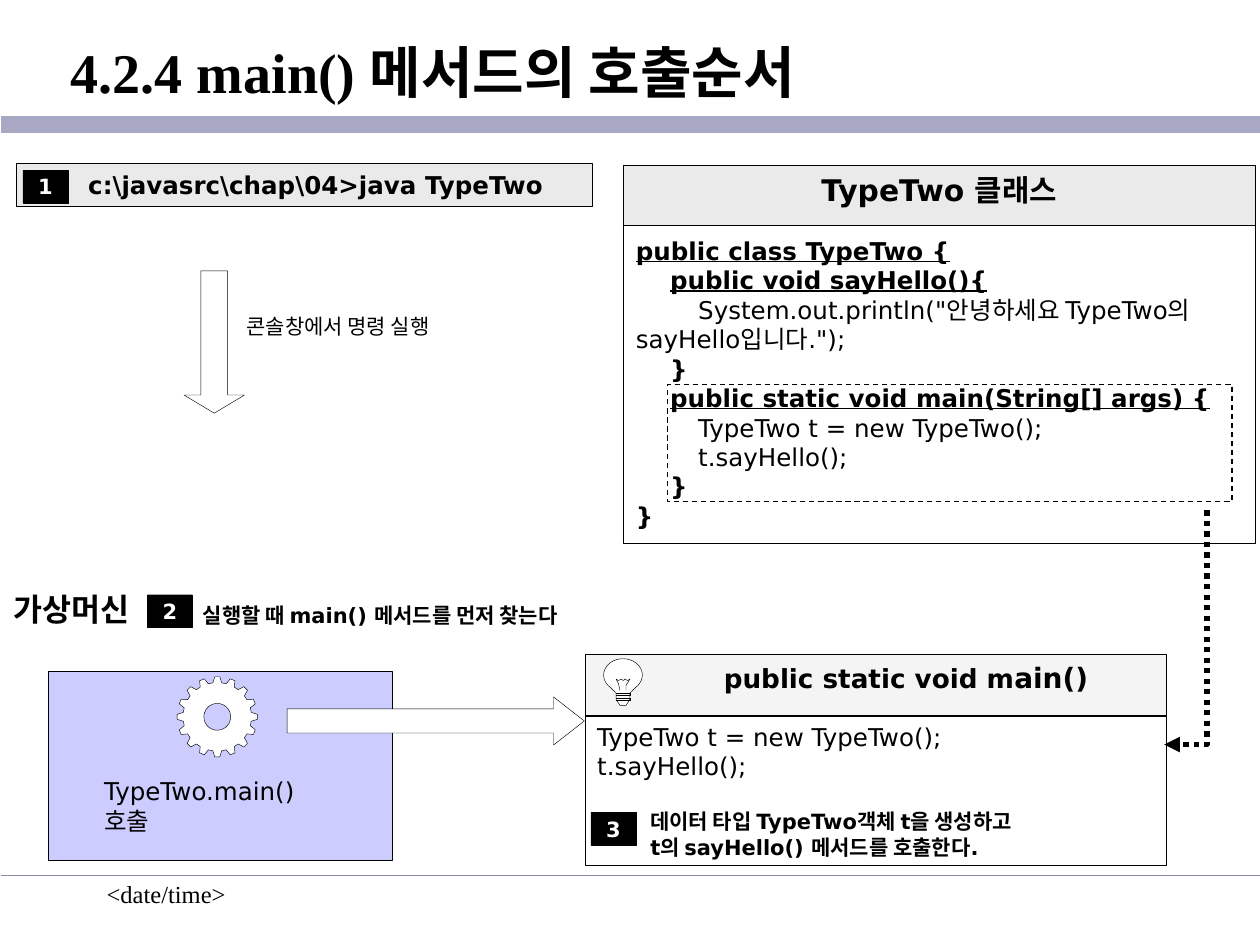
from math import cos, radians, sin

from lxml.etree import SubElement
from pptx import Presentation
from pptx.dml.color import RGBColor
from pptx.enum.dml import MSO_LINE
from pptx.enum.shapes import MSO_CONNECTOR, MSO_SHAPE
from pptx.enum.text import MSO_ANCHOR, PP_ALIGN
from pptx.oxml.ns import qn
from pptx.util import Cm, Pt

BLACK = RGBColor(0, 0, 0)
WHITE = RGBColor(255, 255, 255)
GRAY = RGBColor(0xEA, 0xEA, 0xEA)
LAVENDER = RGBColor(0xCC, 0xCC, 0xFF)
TITLE_RULE = RGBColor(0xA8, 0xA8, 0xC4)
FOOTER_RULE = RGBColor(0x8C, 0x8C, 0xB2)

SERIF, SANS = "Times New Roman", "DejaVu Sans"
MIDDLE, TOP = MSO_ANCHOR.MIDDLE, MSO_ANCHOR.TOP
PLAIN = {"name": SANS, "size": Pt(14), "bold": False}
BOLD = PLAIN | {"bold": True}
UNDERLINED = BOLD | {"underline": True}
NOTE = PLAIN | {"size": Pt(12)}
STRONG_NOTE = BOLD | {"size": Pt(12)}

CLASS_CODE = [
    [("public class TypeTwo {", UNDERLINED)],
    [("    ", BOLD), ("public void sayHello(){", UNDERLINED)],
    [('        System.out.println("안녕하세요 TypeTwo의 sayHello입니다.");', PLAIN)],
    [("    }", BOLD)],
    [("    ", BOLD), ("public static void main(String[] args) {", UNDERLINED)],
    [("        TypeTwo t = new TypeTwo();", PLAIN)],
    [("        t.sayHello();", PLAIN)],
    [("    }", BOLD)],
    [("}", BOLD)],
]
MAIN_BODY = [
    [("TypeTwo t = new TypeTwo();", PLAIN)],
    [("t.sayHello();", PLAIN)],
    [("데이터 타입 TypeTwo객체 t을 생성하고", STRONG_NOTE)],
    [("t의 sayHello() 메서드를 호출한다.", STRONG_NOTE)],
]
MAIN_HEADER = [[("public static void m", BOLD | {"size": Pt(15)}),
                ("ain()", BOLD | {"size": Pt(16)})]]
CLASS_HEADER = [[("TypeTwo 클래스", BOLD | {"size": Pt(17)})]]
COMMAND = [[("c:\\javasrc\\chap\\04>java TypeTwo", BOLD)]]

LABELS = [
    ((1.9, 17.6, 5.28, 1.27), [[("<date/time>", {"name": SERIF, "size": Pt(14)})]]),
    ((1.85, 15.52, 5.46, 1.3), [[("TypeTwo.main()", PLAIN)], [("호출", PLAIN)]]),
    ((0.03, 11.76, 2.84, 1.02), [[("가상머신", BOLD | {"size": Pt(18)})]]),
    ((3.84, 12.01, 8.86, 0.76), [[("실행할 때 main() 메서드를 먼저 찾는다", STRONG_NOTE)]]),
    ((4.72, 6.2, 4.19, 0.76), [[("콘솔창에서 명령 실행", NOTE)]]),
]
TITLE = [[("4.2.4 main() 메서드의 호출순서", {"name": SERIF, "size": Pt(32), "bold": True})]]
RULES = [(2.51, TITLE_RULE, 9.25), (17.65, FOOTER_RULE, 1)]
BADGES = [("1", 0.46, 3.43), ("2", 2.97, 11.99), ("3", 11.91, 16.38)]
ARROWS = [
    (MSO_SHAPE.DOWN_ARROW, (3.71, 5.46, 1.22, 2.87), (0.44, 0.3)),
    (MSO_SHAPE.RIGHT_ARROW, (5.79, 14.05, 5.99, 0.97), (0.5, 0.64)),
]
GEAR_CENTER, GEAR_TEETH = (4.38, 14.45), 16
BULB_CENTER = (12.56, 13.61)
BULB_BASE = [(12.7, 13.97), (12.7, 14.1), (12.62, 14.22),
             (12.5, 14.22), (12.42, 14.1), (12.42, 13.97)]
FILAMENT = [
    [(12.5, 13.92), (12.47, 13.79), (12.42, 13.69), (12.47, 13.72), (12.52, 13.69),
     (12.57, 13.72), (12.6, 13.69), (12.65, 13.72), (12.7, 13.69), (12.62, 13.82), (12.62, 13.92)],
    [(12.42, 13.97), (12.7, 13.97), (12.7, 14.02), (12.42, 14.02)],
    [(12.42, 14.07), (12.7, 14.07), (12.7, 14.12), (12.42, 14.12)],
]
CALL_PATH = [(24.33, 10.29), (24.33, 15.01), (23.47, 15.01)]


def write(shape, paragraphs, color=BLACK, align=PP_ALIGN.LEFT, anchor=TOP, left=0.25):
    frame = shape.text_frame
    right = Cm(0 if align == PP_ALIGN.LEFT else 0.25)
    settings = {"word_wrap": True, "vertical_anchor": anchor, "margin_left": Cm(left),
                "margin_right": right, "margin_top": Cm(0.13), "margin_bottom": Cm(0.13)}
    for name, value in settings.items():
        setattr(frame, name, value)
    for index, runs in enumerate(paragraphs):
        paragraph = frame.add_paragraph() if index else frame.paragraphs[0]
        paragraph.alignment = align
        for text, style in runs:
            run = paragraph.add_run()
            run.text = text
            for name, value in style.items():
                setattr(run.font, name, value)
            run.font.color.rgb = color


def decorate(shape, fill=None, width=0.25):
    shape.shadow.inherit = False
    if fill is None:
        shape.fill.background()
    else:
        shape.fill.solid()
        shape.fill.fore_color.rgb = fill
    shape.line.color.rgb = BLACK
    shape.line.width = Pt(width)
    return shape


def add_shape(box, fill=None, kind=MSO_SHAPE.RECTANGLE, width=0.25):
    return decorate(slide.shapes.add_shape(kind, *map(Cm, box)), fill, width)


def add_label(box, paragraphs, **options):
    write(slide.shapes.add_textbox(*map(Cm, box)), paragraphs, **options)


def add_outline(contours, fill=None, close=True):
    contours = [[(Cm(x), Cm(y)) for x, y in contour] for contour in contours]
    builder = slide.shapes.build_freeform(*contours[0][0])
    for index, (start, *rest) in enumerate(contours):
        if index:
            builder.move_to(*start)
        builder.add_line_segments(rest, close=close)
    return decorate(builder.convert_to_shape(), fill)


def polar(center, angle, radius_x, radius_y):
    return (center[0] + radius_x * cos(radians(angle)),
            center[1] + radius_y * sin(radians(angle)))


presentation = Presentation()
presentation.slide_width, presentation.slide_height = Cm(25.4), Cm(19.05)
slide = presentation.slides.add_slide(presentation.slide_layouts[6])

for y, color, width in RULES:
    rule = slide.shapes.add_connector(MSO_CONNECTOR.STRAIGHT, Cm(0.03), Cm(y), Cm(25.4), Cm(y))
    rule.line.color.rgb = color
    rule.line.width = Pt(width)
    SubElement(rule._element.spPr, qn("a:effectLst"))

add_label((0.03, 0.28, 25.37, 2.29), TITLE, anchor=MIDDLE, left=1.4)
add_shape((0.97, 13.54, 6.93, 3.81), LAVENDER)

gear = [polar(GEAR_CENTER, 360 * tooth / GEAR_TEETH - 90 + offset, radius, radius)
        for tooth in range(GEAR_TEETH)
        for offset, radius in ((-7.4, 0.69), (-3.6, 0.81), (3.6, 0.81), (7.4, 0.69))]
hole = [polar(GEAR_CENTER, -angle, 0.27, 0.27) for angle in range(0, 360, 10)]
add_outline([gear, hole], WHITE)

write(add_shape((0.33, 3.3, 11.61, 0.86), GRAY), COMMAND, left=1.45)

main_box = add_shape((11.79, 14.43, 11.73, 3.02))
write(main_box, MAIN_BODY, anchor=MIDDLE)
notes = main_box.text_frame.paragraphs[2:]
notes[0].space_before = Pt(16)
for paragraph in notes:
    paragraph._p.get_or_add_pPr().set("marL", str(Cm(1.07)))

main_header = add_shape((11.79, 13.18, 11.73, 1.24), GRAY)
fill_color = main_header._element.spPr.find(qn("a:solidFill"))[0]
SubElement(fill_color, qn("a:alpha"), val="50000")
write(main_header, MAIN_HEADER, align=PP_ALIGN.CENTER, left=1.47)

write(add_shape((12.57, 4.5, 12.73, 6.45)), CLASS_CODE, anchor=MIDDLE)
write(add_shape((12.57, 3.33, 12.73, 1.22), GRAY), CLASS_HEADER, align=PP_ALIGN.CENTER)

for kind, box, adjustments in ARROWS:
    arrow = add_shape(box, WHITE, kind)
    for index, value in enumerate(adjustments):
        arrow.adjustments[index] = value

for number, x, y in BADGES:
    write(add_shape((x, y, 0.91, 0.66), BLACK), [[(number, STRONG_NOTE)]],
          color=WHITE, align=PP_ALIGN.CENTER, anchor=MIDDLE)

for box, paragraphs in LABELS:
    add_label(box, paragraphs)

glass = [polar(BULB_CENTER, angle, 0.39, 0.33) for angle in range(130, 411, 10)]
add_outline([glass + BULB_BASE], WHITE)
add_outline(FILAMENT, close=False)

call_arrow = add_outline([CALL_PATH], close=False)
call_arrow.line.width = Pt(3)
call_arrow.line.dash_style = MSO_LINE.ROUND_DOT
SubElement(call_arrow.line._get_or_add_ln(), qn("a:tailEnd"), type="triangle")

add_shape((13.46, 7.75, 11.38, 2.36), width=0.75).line.dash_style = MSO_LINE.DASH

presentation.save("out.pptx")
